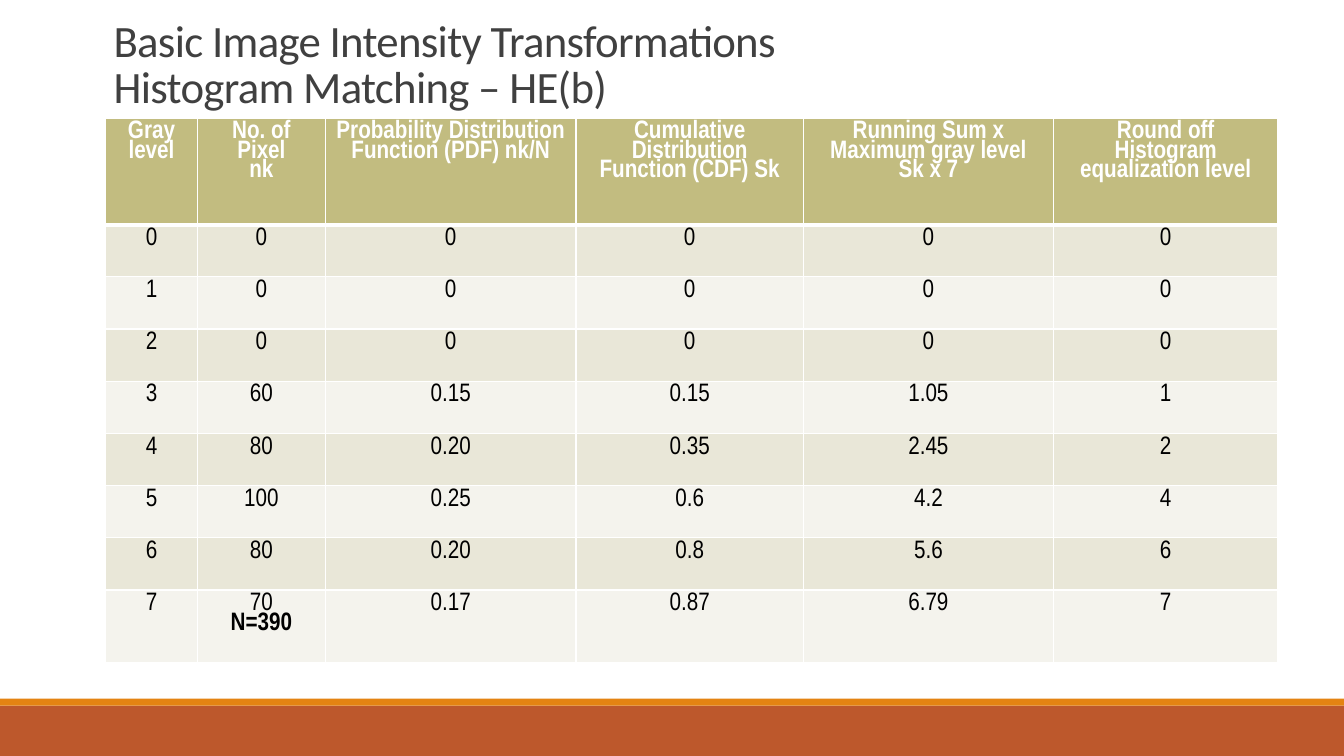
from pptx import Presentation
from pptx.dml.color import RGBColor as RGB
from pptx.enum.shapes import MSO_SHAPE as Shape
from pptx.enum.text import MSO_ANCHOR as Anchor, PP_ALIGN as Align
from pptx.oxml import parse_xml
from pptx.oxml.ns import nsdecls
from pptx.util import Pt

HUES = {
    "rust": "BD582C", "orange": "E48312", "title": "404040",
    "head": "C2BC80", "dark": "E9E7D8", "light": "F4F3ED",
    "white": "FFFFFF", "black": "000000",
}


def hue(name):
    return RGB.from_string(HUES[name])


def edge(cell, side, width):
    cell._tc.get_or_add_tcPr().append(parse_xml(
        f'<a:ln{side} {nsdecls("a")} w="{Pt(width)}"><a:solidFill>'
        f'<a:srgbClr val="{HUES["white"]}"/></a:solidFill></a:ln{side}>'))


deck = Presentation()
deck.slide_width, deck.slide_height = Pt(960), Pt(540)
slide = deck.slides.add_slide(deck.slide_layouts[6])

# Footer bands
for name, top, high in [("rust", 504, 36), ("orange", 499, 5)]:
    band = slide.shapes.add_shape(Shape.RECTANGLE, 0, Pt(top), Pt(960), Pt(high))
    band.shadow.inherit = False
    band.fill.solid()
    band.fill.fore_color.rgb = hue(name)
    band.line.fill.background()

# Title
box = slide.shapes.add_textbox(Pt(74), Pt(22), Pt(804), Pt(62))
frame = box.text_frame
frame.word_wrap = True
frame.vertical_anchor = Anchor.BOTTOM
frame.text = "Basic Image Intensity Transformations\vHistogram Matching – HE(b)"
para = frame.paragraphs[0]
para.line_spacing = 0.85
for run in para.runs:
    run.font.name = "Calibri"
    run.font.size = Pt(32)
    run.font.color.rgb = hue("title")
    run.font._element.set("spc", "-50")

# Table contents
rows = [
    ["Gray level", "No. of Pixel\nnk",
     "Probability Distribution Function (PDF) nk/N",
     "Cumulative Distribution Function (CDF) Sk",
     "Running Sum x Maximum gray level\nSk x 7",
     "Round off Histogram equalization level"],
    ["0", "0", "0", "0", "0", "0"],
    ["1", "0", "0", "0", "0", "0"],
    ["2", "0", "0", "0", "0", "0"],
    ["3", "60", "0.15", "0.15", "1.05", "1"],
    ["4", "80", "0.20", "0.35", "2.45", "2"],
    ["5", "100", "0.25", "0.6", "4.2", "4"],
    ["6", "80", "0.20", "0.8", "5.6", "6"],
    ["7", "70\nN=390", "0.17", "0.87", "6.79", "7"],
]
wides = [65.5, 91.5, 179, 162.5, 178.5, 160.5]
highs = [76] + [37.3] * 7 + [52]

# Table grid
table = slide.shapes.add_table(
    len(rows), len(wides), Pt(75.5), Pt(84.5), Pt(sum(wides)), Pt(sum(highs))).table
for col, wide in zip(table.columns, wides):
    col.width = Pt(wide)
for row, high in zip(table.rows, highs):
    row.height = Pt(high)

# Table cells
for r, row in enumerate(rows):
    fill = "head" if r == 0 else "dark" if r % 2 else "light"
    for c, text in enumerate(row):
        cell = table.cell(r, c)
        for side in "LRTB":
            thick = (r, side) in [(0, "B"), (1, "T")]
            edge(cell, side, 3 if thick else 1)
        cell.fill.solid()
        cell.fill.fore_color.rgb = hue(fill)
        cell.text_frame.text = text
        for para in cell.text_frame.paragraphs:
            para.alignment = Align.CENTER
            para.line_spacing = 0.82
            font = para.runs[0].font
            font.name = "Arial Narrow"
            font.size = Pt(18)
            font.bold = r == 0 or para.text.startswith("N=")
            font.color.rgb = hue("black" if r else "white")

deck.save("out.pptx")
